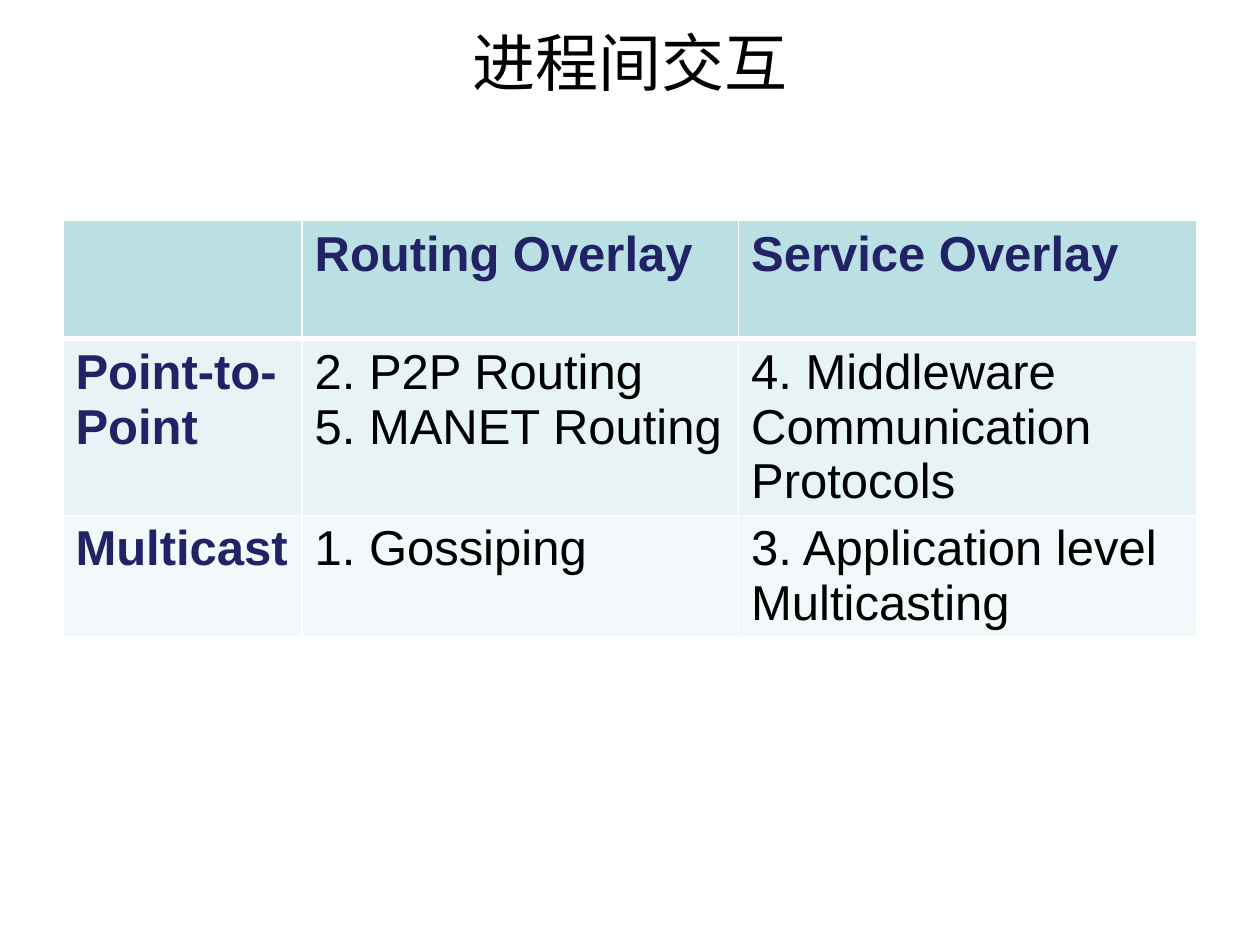
from dataclasses import dataclass

from lxml.etree import SubElement
from pptx import Presentation
from pptx.dml.color import RGBColor
from pptx.enum.text import MSO_ANCHOR, PP_ALIGN
from pptx.oxml.ns import qn
from pptx.util import Cm, Pt


@dataclass(frozen=True)
class Theme:
    font: str = "Arial"
    head: int = 36
    body: int = 28
    ink: str = "000000"
    navy: str = "222267"
    rule: str = "FFFFFF"
    fills: tuple[str, ...] = ("BBE0E3", "E7F3F4", "F3F9FA")
    thin: int = 1
    thick: int = 3


@dataclass(frozen=True)
class Row:
    high: float
    texts: tuple[str, ...]


THEME = Theme()
WIDTHS = (4.82, 8.8, 9.23)
ROWS = (
    Row(2.38, ("", "Routing Overlay", "Service Overlay")),
    Row(3.1, ("Point-to-Point", "2. P2P Routing\n5. MANET Routing",
              "4. Middleware Communication Protocols")),
    Row(2.38, ("Multicast", "1. Gossiping",
               "3. Application level Multicasting")),
)


def style(para, size: int, color: str, bold: bool = False) -> None:
    font = para.font
    font.name = THEME.font
    font.size = Pt(size)
    font.bold = bold
    font.color.rgb = RGBColor.from_string(color)


def border(cell, side: str, width: int) -> None:
    props = cell._tc.get_or_add_tcPr()
    line = SubElement(props, qn(f"a:ln{side}"), w=str(Pt(width)))
    fill = SubElement(line, qn("a:solidFill"))
    SubElement(fill, qn("a:srgbClr"), val=THEME.rule)


def paint(cell, text: str, row: int, col: int) -> None:
    edges = {
        "L": THEME.thin,
        "R": THEME.thin,
        "T": THEME.thick if row == 1 else THEME.thin,
        "B": THEME.thick if row == 0 else THEME.thin,
    }
    for side, width in edges.items():
        border(cell, side, width)
    cell.fill.solid()
    cell.fill.fore_color.rgb = RGBColor.from_string(THEME.fills[row])
    cell.text = text
    label = row == 0 or col == 0
    for para in cell.text_frame.paragraphs:
        style(para, THEME.body, THEME.navy if label else THEME.ink, label)


def title(slide, text: str) -> None:
    shape = slide.shapes.title
    shape.left, shape.top = Cm(1.27), Cm(0.13)
    shape.width, shape.height = Cm(22.86), Cm(2.2)
    frame = shape.text_frame
    frame.text = text
    frame.vertical_anchor = MSO_ANCHOR.MIDDLE
    para = frame.paragraphs[0]
    para.alignment = PP_ALIGN.CENTER
    style(para, THEME.head, THEME.ink)


def grid(slide, rows: tuple[Row, ...], widths: tuple[float, ...]) -> None:
    table = slide.shapes.add_table(
        len(rows), len(widths), Cm(1.27), Cm(4.45),
        Cm(sum(widths)), Cm(sum(row.high for row in rows)),
    ).table
    for col, width in zip(table.columns, widths):
        col.width = Cm(width)
    for r, row in enumerate(rows):
        table.rows[r].height = Cm(row.high)
        for c, text in enumerate(row.texts):
            paint(table.cell(r, c), text, r, c)


def main() -> None:
    deck = Presentation()
    deck.slide_width, deck.slide_height = Cm(25.4), Cm(19.05)
    slide = deck.slides.add_slide(deck.slide_layouts[5])
    title(slide, "进程间交互")
    grid(slide, ROWS, WIDTHS)
    deck.save("out.pptx")


if __name__ == "__main__":
    main()
